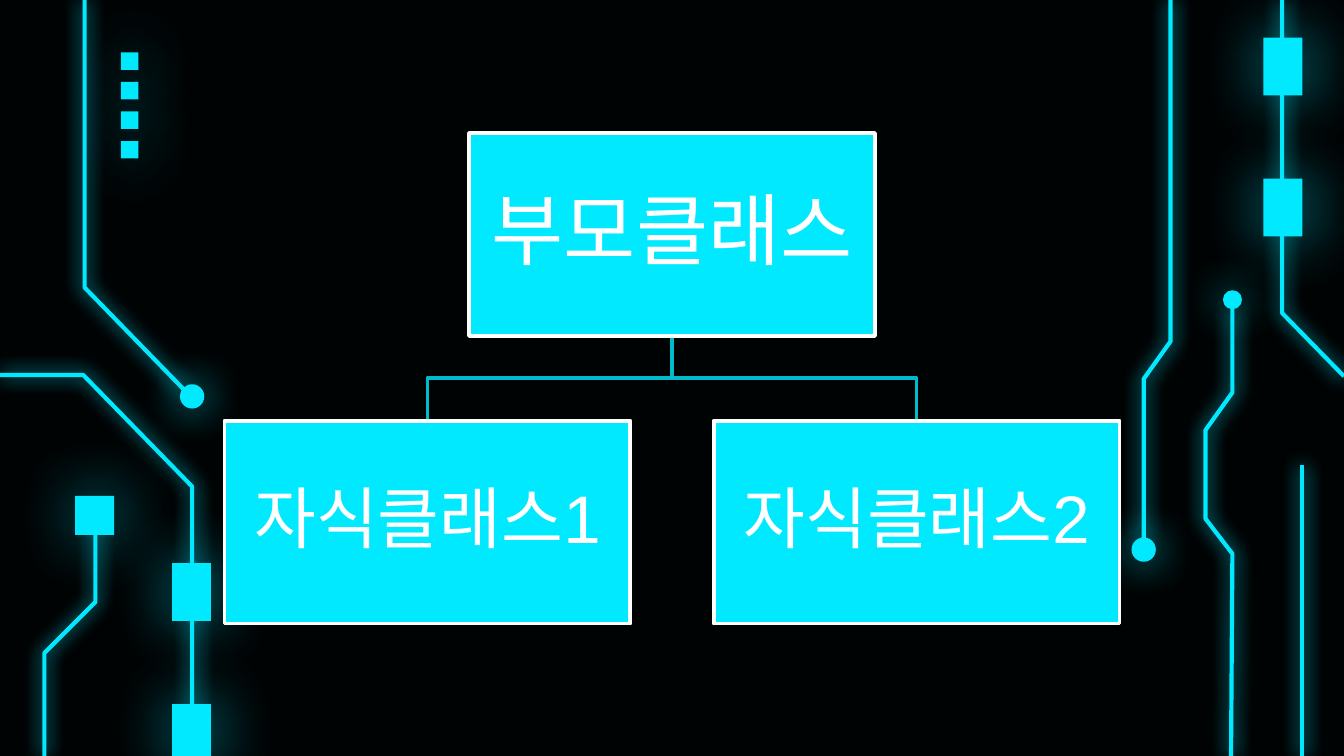
import pptx
import pptx.dml.color
import pptx.enum.shapes
import pptx.enum.text
import pptx.oxml.ns
import pptx.util
from lxml import etree
from pptx.dml.color import RGBColor
from pptx.enum.shapes import MSO_SHAPE
from pptx.util import Inches, Pt

BLACK = RGBColor(0x00, 0x03, 0x04)
CYAN = RGBColor(0x00, 0xE9, 0xFF)
TEAL = RGBColor(0x00, 0xBB, 0xCC)
WHITE = RGBColor(0xFF, 0xFF, 0xFF)

WIDTH = 10
HEIGHT = WIDTH * 9 / 16
CARD_WIDTH, CARD_HEIGHT = 3.02, 1.51
PARENT_TOP, CHILD_TOP = 0.99, 3.13
CENTER = WIDTH / 2
CHILD_OFFSET = 1.82

# Circuit traces, from point to point
TRACES = [
    [(0, 2.79), (0.62, 2.79), (1.43, 3.62), (1.43, HEIGHT)],
    [(0.71, 3.86), (0.71, 4.48), (0.33, 4.86), (0.33, HEIGHT)],
    [(9.54, 0), (9.54, 2.33), (WIDTH, 2.8)],
    [(0.63, 0), (0.63, 2.14), (1.37, 2.9)],
    [(9.16, HEIGHT), (9.17, 4.12), (8.97, 3.86), (8.97, 3.2), (9.17, 2.92), (9.17, 2.29)],
    [(8.71, 0), (8.71, 2.54), (8.51, 2.82), (8.51, 4.05)],
]
# Left, top, width, height
PADS = [
    (1.28, 4.19, 0.29, 0.43),
    (1.28, 5.24, 0.29, HEIGHT - 5.24),
    (0.56, 3.69, 0.29, 0.29),
    (9.4, 1.33, 0.29, 0.43),
    (9.4, 0.28, 0.29, 0.43),
] + [(0.9, 0.39 + 0.22 * row, 0.13, 0.13) for row in range(4)]
# Left, top, diameter
NODES = [(1.35, 2.87, 0.16), (9.11, 2.17, 0.12), (8.43, 4.01, 0.16)]


def set_attributes(target, values):
    for name, value in values.items():
        setattr(target, name, value)


def set_line(shape, color, width):
    shape.line.color.rgb = color
    shape.line.width = Pt(width)


def add_glow(shape, blur, distance=0, alpha=100):
    """Give a shape a soft cyan halo."""
    qn = pptx.oxml.ns.qn
    effects = etree.SubElement(shape._element.spPr, qn("a:effectLst"))
    halo = etree.SubElement(effects, qn("a:outerShdw"), {
        "blurRad": str(Pt(blur)), "dist": str(Pt(distance)),
        "algn": "ctr", "rotWithShape": "0"})
    color = etree.SubElement(halo, qn("a:srgbClr"), val=str(CYAN))
    etree.SubElement(color, qn("a:alpha"), val=str(alpha * 1000))


def add_path(slide, points, color, width):
    start, *others = [(Inches(x), Inches(y)) for x, y in points]
    builder = slide.shapes.build_freeform(*start)
    builder.add_line_segments(others, close=False)
    shape = builder.convert_to_shape()
    shape.fill.background()
    set_line(shape, color, width)
    return shape


def add_filled(slide, kind, box):
    shape = slide.shapes.add_shape(kind, *map(Inches, box))
    shape.fill.solid()
    shape.fill.fore_color.rgb = CYAN
    return shape


def add_pad(slide, box):
    pad = add_filled(slide, MSO_SHAPE.RECTANGLE, box)
    pad.line.fill.background()
    add_glow(pad, 36, 1.5, 70)


def add_node(slide, left, top, diameter):
    node = add_filled(slide, MSO_SHAPE.OVAL, (left, top, diameter, diameter))
    set_line(node, CYAN, 1.5)
    add_glow(node, 22.5)


def add_card(slide, text, center, top, size):
    card = add_filled(slide, MSO_SHAPE.RECTANGLE,
                      (center - CARD_WIDTH / 2, top, CARD_WIDTH, CARD_HEIGHT))
    card.shadow.inherit = False
    set_line(card, WHITE, 2)
    frame = card.text_frame
    margin = Inches(0.03)
    set_attributes(frame, {
        "margin_left": margin, "margin_right": margin,
        "margin_top": margin, "margin_bottom": margin,
        "word_wrap": True, "vertical_anchor": pptx.enum.text.MSO_ANCHOR.MIDDLE})
    paragraph = frame.paragraphs[0]
    set_attributes(paragraph, {
        "alignment": pptx.enum.text.PP_ALIGN.CENTER,
        "line_spacing": 0.9, "space_after": Pt(size * 0.35)})
    run = paragraph.add_run()
    run.text = text
    set_attributes(run.font, {"name": "Arial", "size": Pt(size)})
    run.font.color.rgb = WHITE


def add_circuit(slide):
    for points in TRACES:
        add_glow(add_path(slide, points, CYAN, 2.25), 10.1)
    straight = slide.shapes.add_connector(
        pptx.enum.shapes.MSO_CONNECTOR.STRAIGHT,
        *map(Inches, (9.69, HEIGHT, 9.69, 3.46)))
    set_line(straight, CYAN, 2.25)
    add_glow(straight, 10.1)
    for box in PADS:
        add_pad(slide, box)
    for node in NODES:
        add_node(slide, *node)


def add_hierarchy(slide):
    # Branches from the parent class to its children
    parent_bottom = PARENT_TOP + CARD_HEIGHT
    middle = (parent_bottom + CHILD_TOP) / 2
    children = [("자식클래스1", CENTER - CHILD_OFFSET), ("자식클래스2", CENTER + CHILD_OFFSET)]
    for text, center in children:
        branch = add_path(slide, [(CENTER, parent_bottom), (CENTER, middle),
                                  (center, middle), (center, CHILD_TOP)], TEAL, 2)
        branch.shadow.inherit = False

    # Class cards
    add_card(slide, "부모클래스", CENTER, PARENT_TOP, 42)
    for text, center in children:
        add_card(slide, text, center, CHILD_TOP, 36)


def main():
    presentation = pptx.Presentation()
    presentation.slide_width = Inches(WIDTH)
    presentation.slide_height = Inches(HEIGHT)
    slide = presentation.slides.add_slide(presentation.slide_layouts[6])
    slide.background.fill.solid()
    slide.background.fill.fore_color.rgb = BLACK
    add_circuit(slide)
    add_hierarchy(slide)
    presentation.save("out.pptx")


if __name__ == "__main__":
    main()
